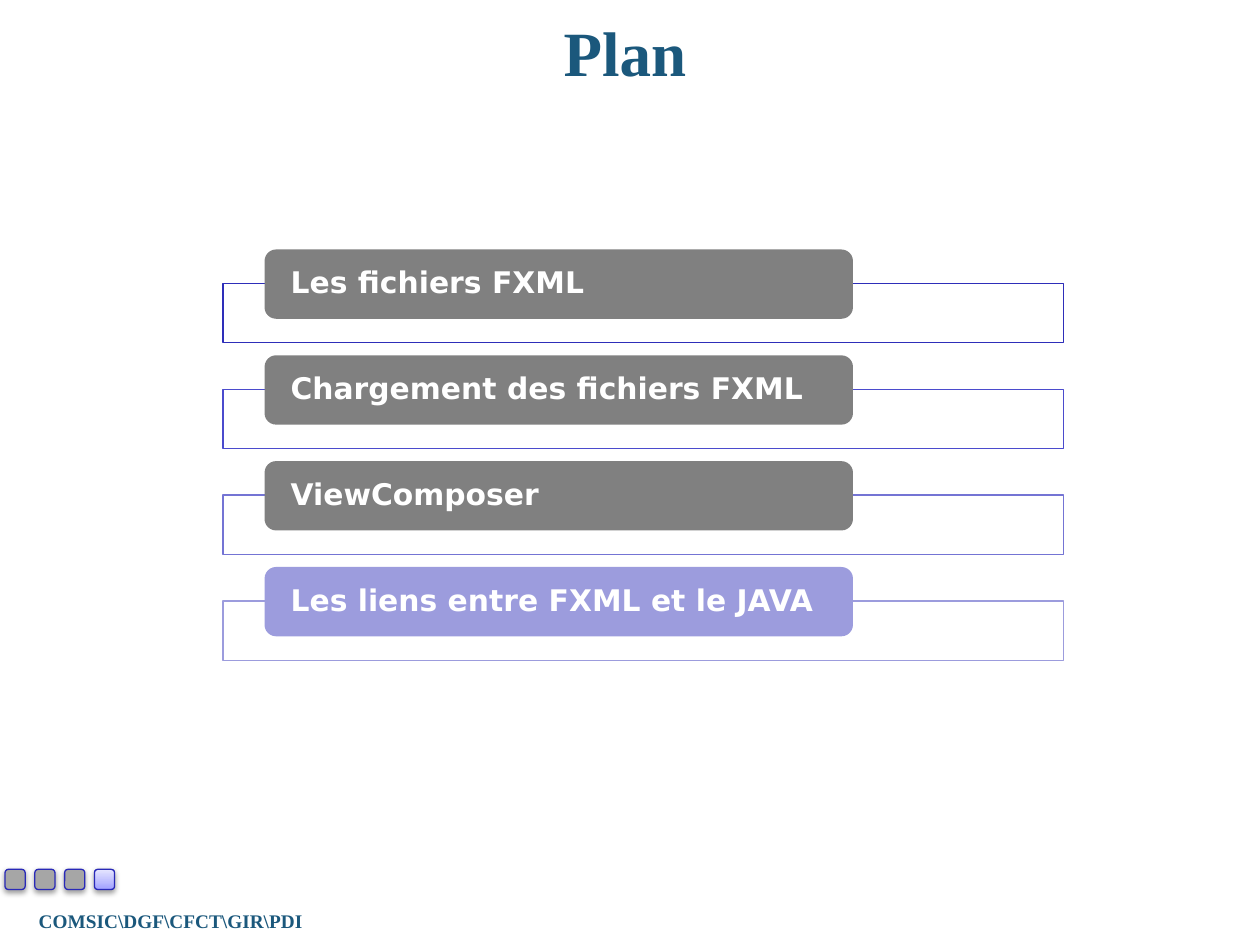
from copy import deepcopy

from lxml import etree
from pptx import Presentation
from pptx.dml.color import RGBColor
from pptx.enum.shapes import MSO_SHAPE
from pptx.enum.text import MSO_ANCHOR, PP_ALIGN
from pptx.oxml.ns import qn
from pptx.util import Inches, Pt

RECTANGLE = MSO_SHAPE.RECTANGLE
ROUNDED = MSO_SHAPE.ROUNDED_RECTANGLE
MIDDLE = MSO_ANCHOR.MIDDLE
LEFT, CENTER = PP_ALIGN.LEFT, PP_ALIGN.CENTER

SERIF, SANS = "Times New Roman", "DejaVu Sans"
COLORS = {
    "heading": "1B587C",
    "white": "FFFFFF",
    "done": "808080",
    "current": "9C9CDD",
    "marker": "A6A6A6",
    "marker_line": "2929B8",
    "shadow": "000000",
}
MARKER_GRADIENT = [(0, "9F9FFF"), (0.35, "BBBBFF"), (1, "E5E5FF")]
SECTIONS = [
    ("Les fichiers FXML", "2E2EB9"),
    ("Chargement des fichiers FXML", "4B4BCD"),
    ("ViewComposer", "7474D4"),
    ("Les liens entre FXML et le JAVA", "9C9CDD"),
]
CURRENT = len(SECTIONS) - 1
FRAME_TOP, SECTION_STEP = 2.25, 0.84
MARKER_LEFT, MARKER_RIGHT = 0.04, 0.75
MARKER_STEP = (MARKER_RIGHT - MARKER_LEFT) / CURRENT


def rgb(value):
    return RGBColor.from_string(value)


def write(target, text, size, font, color, align=CENTER, inset=0.1, spacing=None):
    frame = target.text_frame
    frame.word_wrap = True
    frame.vertical_anchor = MIDDLE
    frame.margin_left = frame.margin_right = Inches(inset)
    paragraph = frame.paragraphs[0]
    paragraph.alignment = align
    paragraph.line_spacing = spacing
    run = paragraph.add_run()
    run.text = text
    run.font.size = Pt(size)
    run.font.name = font
    run.font.bold = True
    run.font.color.rgb = rgb(color)


def add_box(slide, kind, box, fill, line=None):
    shape = slide.shapes.add_shape(kind, *map(Inches, box))
    shape.shadow.inherit = False
    shape.fill.solid()
    shape.fill.fore_color.rgb = rgb(fill)
    if line:
        shape.line.color.rgb = rgb(line)
        shape.line.width = Pt(0.75)
    else:
        shape.line.fill.background()
    return shape


def set_opacity(shape, percent):
    color = shape.element.spPr.find(qn("a:solidFill"))[0]
    etree.SubElement(color, qn("a:alpha"), val=str(percent * 1000))


def add_shadow(shape):
    effects = shape.element.spPr.find(qn("a:effectLst"))
    shadow = etree.SubElement(
        effects, qn("a:outerShdw"), blurRad=str(Pt(3.1)), dist=str(Pt(1.6)),
        dir="5400000", rotWithShape="0")
    color = etree.SubElement(shadow, qn("a:srgbClr"), val=COLORS["shadow"])
    etree.SubElement(color, qn("a:alpha"), val="38000")


def set_gradient(shape, stops):
    shape.fill.gradient()
    shape.fill.gradient_angle = 90
    stop_list = shape.element.spPr.find(qn("a:gradFill")).find(qn("a:gsLst"))
    stop_list.insert(1, deepcopy(stop_list[0]))
    for stop, (position, color) in zip(shape.fill.gradient_stops, stops):
        stop.position = position
        stop.color.rgb = rgb(color)


def add_section(slide, index, label, outline):
    top = FRAME_TOP + index * SECTION_STEP
    frame = add_box(slide, RECTANGLE, (1.77, top, 6.67, 0.47), COLORS["white"], outline)
    set_opacity(frame, 90)
    fill = COLORS["current" if index == CURRENT else "done"]
    banner = add_box(slide, ROUNDED, (2.1, top - 0.27, 4.67, 0.55), fill)
    write(banner, label, 17, SANS, COLORS["white"], align=LEFT, inset=0.18, spacing=0.9)


def add_marker(slide, index):
    left = MARKER_LEFT + index * MARKER_STEP
    marker = add_box(slide, ROUNDED, (left, 6.9, 0.16, 0.16),
                     COLORS["marker"], COLORS["marker_line"])
    add_shadow(marker)
    if index == CURRENT:
        set_gradient(marker, MARKER_GRADIENT)


def add_title(slide, text):
    title = slide.shapes.title
    title.left, title.top = Inches(0.43), Inches(0.05)
    title.width, title.height = Inches(9.06), Inches(0.71)
    write(title, text, 36, SERIF, COLORS["heading"])


def add_footer(slide, text):
    footer = slide.shapes.add_textbox(*map(Inches, (-0.2, 7.16, 3.11, 0.29)))
    write(footer, text, 11, SERIF, COLORS["heading"])


def main():
    deck = Presentation()
    deck.slide_width, deck.slide_height = Inches(10), Inches(7.5)
    slide = deck.slides.add_slide(deck.slide_layouts[5])
    add_footer(slide, "COMSIC\\DGF\\CFCT\\GIR\\PDI")
    add_title(slide, "Plan")
    for index, (label, outline) in enumerate(SECTIONS):
        add_section(slide, index, label, outline)
    for index in range(len(SECTIONS)):
        add_marker(slide, index)
    deck.save("out.pptx")


if __name__ == "__main__":
    main()
